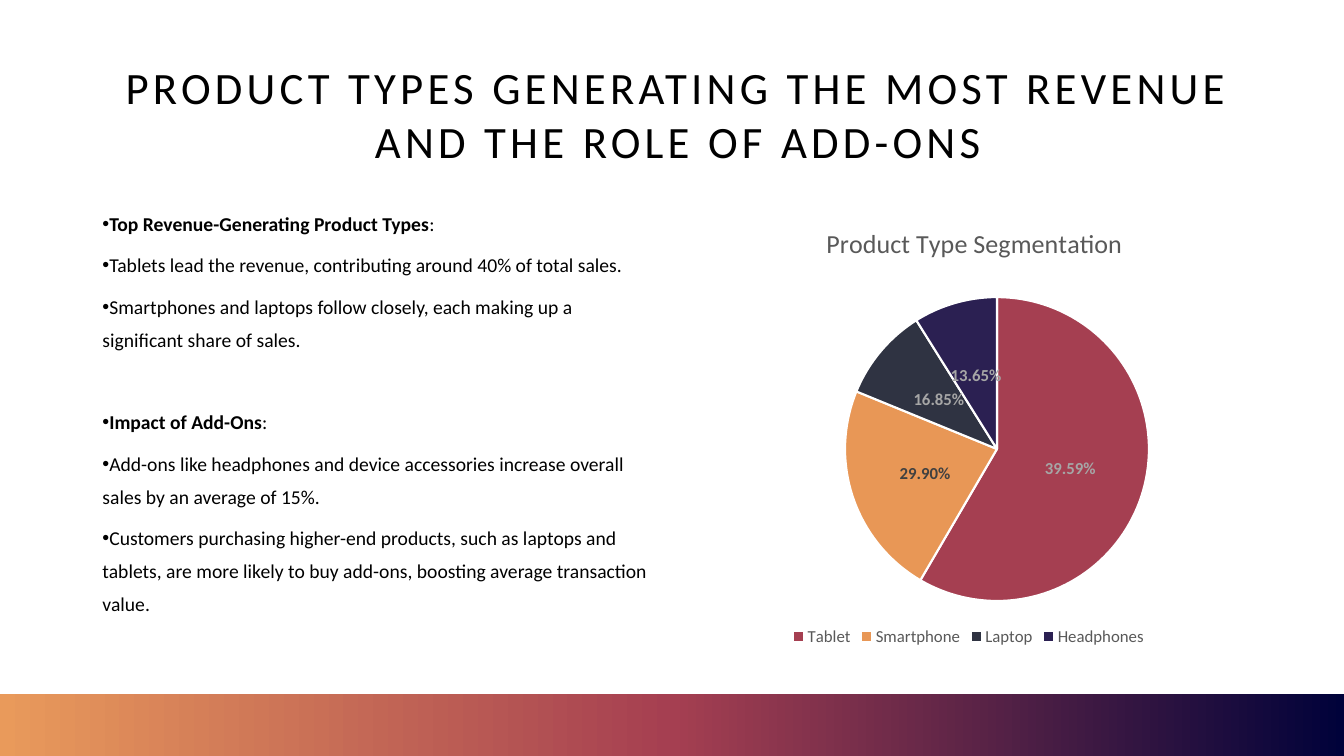
"""Builds a slide on product revenue with a bullet list and a pie chart."""
from copy import deepcopy
from dataclasses import dataclass

from lxml.etree import SubElement
from pptx import Presentation
from pptx.chart.data import CategoryChartData
from pptx.dml.color import RGBColor
from pptx.enum.chart import XL_CHART_TYPE, XL_LABEL_POSITION, XL_LEGEND_POSITION
from pptx.enum.shapes import MSO_SHAPE
from pptx.enum.text import MSO_ANCHOR, MSO_AUTO_SIZE, PP_ALIGN
from pptx.oxml.ns import qn
from pptx.util import Pt


@dataclass(frozen=True)
class Theme:
    font: str = "Calibri"
    text: str = "000000"
    white: str = "FFFFFF"
    chart_text: str = "595959"
    label_light: str = "A6A6A6"
    label_dark: str = "404040"
    band: tuple = ("E99A5B", "A53F51", "00023A")
    title_size: float = 32
    body_size: float = 14
    chart_title_size: float = 18.6
    chart_size: float = 12


TITLE = "PRODUCT TYPES GENERATING THE MOST REVENUE AND THE ROLE OF ADD-ONS"
SECTIONS = [
    ("Top Revenue-Generating Product Types", [
        "Tablets lead the revenue, contributing around 40% of total sales.",
        "Smartphones and laptops follow closely, each making up a significant share of sales.",
    ]),
    ("Impact of Add-Ons", [
        "Add-ons like headphones and device accessories increase overall sales by an average of 15%.",
        "Customers purchasing higher-end products, such as laptops and tablets, are more likely "
        "to buy add-ons, boosting average transaction value.",
    ]),
]
THEME = Theme()
SEGMENTS = [
    ("Tablet", 59, "39.59%", "A53F51", THEME.label_light),
    ("Smartphone", 23, "29.90%", "E89756", THEME.label_dark),
    ("Laptop", 10, "16.85%", "2F3342", THEME.label_light),
    ("Headphones", 9, "13.65%", "2B2052", THEME.label_light),
]


class SlideBuilder:
    def __init__(self, slide, theme):
        self.slide = slide
        self.theme = theme

    def style(self, font, size, color, bold=False):
        font.name = self.theme.font
        font.size = Pt(size)
        font.bold = bold
        font.color.rgb = RGBColor.from_string(color)

    def place(self, shape, left, top, width, height):
        shape.left, shape.top = Pt(left), Pt(top)
        shape.width, shape.height = Pt(width), Pt(height)

    def band(self, *box):
        shape = self.slide.shapes.add_shape(MSO_SHAPE.RECTANGLE, *map(Pt, box))
        shape.shadow.inherit = False
        shape.line.fill.background()
        shape.fill.gradient()
        shape.fill.gradient_angle = 0
        stop_list = next(shape.element.iter(qn("a:gsLst")))
        stop_list.insert(1, deepcopy(stop_list[0]))
        for index, stop in enumerate(shape.fill.gradient_stops):
            stop.position = index / 2
            stop.color.rgb = RGBColor.from_string(self.theme.band[index])

    def title(self, text, *box):
        shape = self.slide.shapes.title
        self.place(shape, *box)
        frame = shape.text_frame
        frame.text = text
        frame.auto_size = MSO_AUTO_SIZE.NONE
        frame.vertical_anchor = MSO_ANCHOR.MIDDLE
        paragraph = frame.paragraphs[0]
        paragraph.alignment = PP_ALIGN.CENTER
        properties = paragraph._p.get_or_add_pPr()
        properties.set("marL", str(Pt(8.64)))
        properties.set("indent", "0")
        run = paragraph.runs[0]
        self.style(run.font, self.theme.title_size, self.theme.text)
        run.font._element.set("spc", "300")

    def bullet(self, paragraph, text, heading=False, space_before=0):
        properties = paragraph._p.get_or_add_pPr()
        properties.set("marL", "0")
        properties.set("indent", "0")
        SubElement(properties, qn("a:buFont"), typeface="Arial")
        SubElement(properties, qn("a:buChar"), char="•")
        paragraph.line_spacing = 1.4
        paragraph.space_before = Pt(space_before)
        paragraph.space_after = Pt(6)
        for part, bold in [(text, True), (":", False)] if heading else [(text, False)]:
            run = paragraph.add_run()
            run.text = part
            self.style(run.font, self.theme.body_size, self.theme.text, bold)

    def body(self, sections, *box):
        shape = self.slide.placeholders[1]
        self.place(shape, *box)
        frame = shape.text_frame
        frame.auto_size = MSO_AUTO_SIZE.NONE
        frame.vertical_anchor = MSO_ANCHOR.TOP
        for index, (heading, items) in enumerate(sections):
            paragraph = frame.add_paragraph() if index else frame.paragraphs[0]
            self.bullet(paragraph, heading, True, 29.5 if index else 0)
            for item in items:
                self.bullet(frame.add_paragraph(), item)

    def chart_layout(self, element, target=None, **fractions):
        layout = element.find(qn("c:layout"))
        if layout is None:
            layout = SubElement(element, qn("c:layout"))
            element.insert(0, layout)
        manual = SubElement(layout, qn("c:manualLayout"))
        if target:
            SubElement(manual, qn("c:layoutTarget"), val=target)
        for mode in ("xMode", "yMode"):
            SubElement(manual, qn(f"c:{mode}"), val="edge")
        for name, value in fractions.items():
            SubElement(manual, qn(f"c:{name}"), val=str(value))

    def pie(self, title, segments, *box):
        data = CategoryChartData()
        data.categories = [segment[0] for segment in segments]
        data.add_series("Series 1", [segment[1] for segment in segments])
        chart = self.slide.shapes.add_chart(XL_CHART_TYPE.PIE, *map(Pt, box), data).chart
        self.style(chart.font, self.theme.chart_size, self.theme.chart_text)
        chart.has_title = True
        frame = chart.chart_title.text_frame
        frame.text = title
        self.style(frame.paragraphs[0].runs[0].font, self.theme.chart_title_size,
                   self.theme.chart_text)
        self.chart_layout(chart.chart_title._element, x=0.24, y=0.05)
        chart.has_legend = True
        chart.legend.position = XL_LEGEND_POSITION.BOTTOM
        chart.legend.include_in_layout = False
        self.style(chart.legend.font, self.theme.chart_size, self.theme.chart_text)
        plot = chart.plots[0]
        plot.vary_by_categories = True
        plot_area = next(chart._chartSpace.iter(qn("c:plotArea")))
        self.chart_layout(plot_area, "inner", x=0.28, y=0.22, w=0.54, h=0.67)
        for index, (_, _, label, fill, label_color) in enumerate(segments):
            point = plot.series[0].points[index]
            point.format.fill.solid()
            point.format.fill.fore_color.rgb = RGBColor.from_string(fill)
            point.format.line.color.rgb = RGBColor.from_string(self.theme.white)
            point.format.line.width = Pt(1.5)
            label_frame = point.data_label.text_frame
            label_frame.text = label
            self.style(label_frame.paragraphs[0].runs[0].font, self.theme.chart_size,
                       label_color, True)
            point.data_label.position = XL_LABEL_POSITION.CENTER


def main():
    presentation = Presentation()
    presentation.slide_width, presentation.slide_height = Pt(960), Pt(540)
    slide = presentation.slides.add_slide(presentation.slide_layouts[1])
    builder = SlideBuilder(slide, THEME)
    builder.title(TITLE, 66, 28.8, 828, 104.4)
    builder.body(SECTIONS, 66, 141, 404, 324)
    builder.band(0, 496, 960, 44)
    builder.pie("Product Type Segmentation", SEGMENTS, 490, 141, 404, 324)
    presentation.save("out.pptx")


if __name__ == "__main__":
    main()
